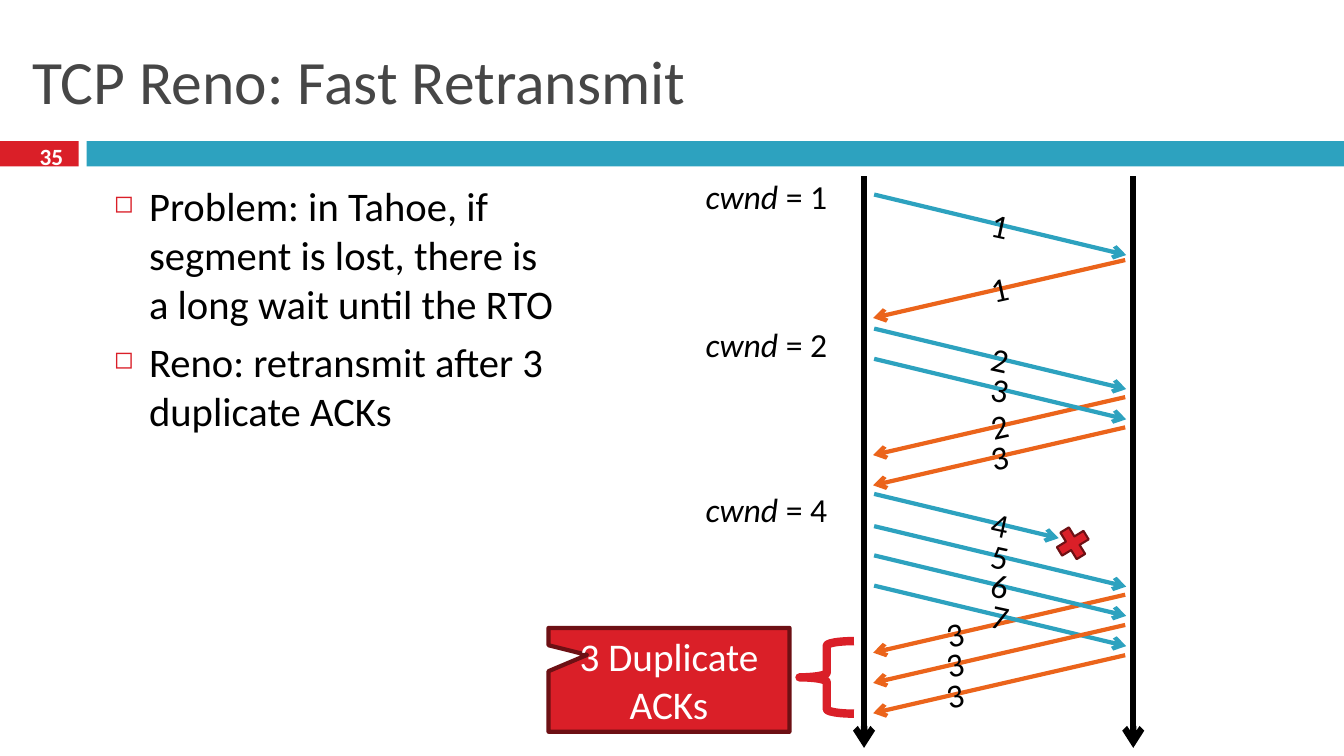
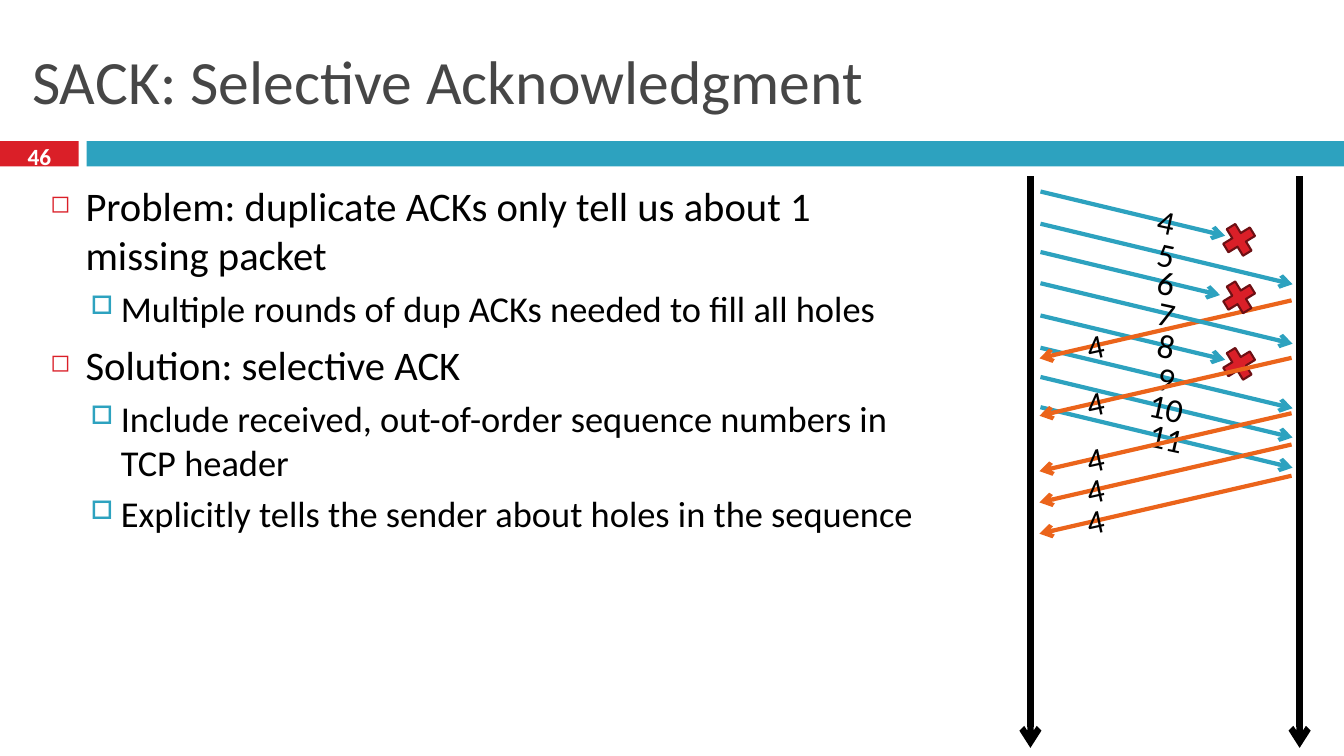
"""Build two slides on TCP retransmission with packet timelines."""
from lxml.etree import SubElement
from pptx import Presentation
from pptx.dml.color import RGBColor
from pptx.enum.shapes import MSO_CONNECTOR, MSO_SHAPE
from pptx.enum.text import MSO_ANCHOR, PP_ALIGN
from pptx.oxml.ns import qn
from pptx.util import Inches, Pt

COLORS = {
    "red": "DA1F28",
    "dark_red": "6D1014",
    "teal": "2DA2BF",
    "orange": "EB641B",
    "title": "464646",
    "black": "000000",
    "white": "FFFFFF",
}
FONT = "Calibri"
LEVELS = [
    {"indent": 0.35, "hang": 0.35, "before": 7, "bullet": "◻", "color": "red", "percent": 60, "size": 29},
    {"indent": 0.7, "hang": 0.3, "before": 5.5, "bullet": "□", "color": "teal", "percent": 70, "size": 26},
]
LIFELINE_GAP = 2.67
SEGMENT = {"color": "teal", "slope": 0.24, "angle": 12.3}
ACK = {"color": "orange", "slope": 0.23, "angle": -12.5}


def rgb(name):
    return RGBColor.from_string(COLORS[name])


def inches(*lengths):
    return [Inches(length) for length in lengths]


def set_font(font, size, color="black", bold=False, italic=False):
    font.name, font.size, font.bold, font.italic = FONT, Pt(size), bold, italic
    font.color.rgb = rgb(color)


def add_text(page, text, left, top, width, height, size=24, color="black", bold=False,
             align=PP_ALIGN.LEFT, anchor=MSO_ANCHOR.TOP, wrap=True, rotation=0):
    box = page.shapes.add_textbox(*inches(left, top, width, height))
    box.rotation = rotation
    frame = box.text_frame
    frame.word_wrap, frame.vertical_anchor = wrap, anchor
    para = frame.paragraphs[0]
    para.text, para.alignment = text, align
    set_font(para.font, size, color, bold)
    return box


def add_block(page, kind, left, top, width, height, fill=None, line=None, line_width=1):
    block = page.shapes.add_shape(kind, *inches(left, top, width, height))
    block.shadow.inherit = False
    if fill:
        block.fill.solid()
        block.fill.fore_color.rgb = rgb(fill)
    else:
        block.fill.background()
    if line:
        block.line.color.rgb = rgb(line)
        block.line.width = Pt(line_width)
    else:
        block.line.fill.background()
    return block


def add_arrow(page, start, end, color, width):
    arrow = page.shapes.add_connector(MSO_CONNECTOR.STRAIGHT, *inches(*start, *end))
    arrow.line.color.rgb = rgb(color)
    arrow.line.width = Pt(width)
    SubElement(arrow.line._get_or_add_ln(), qn("a:tailEnd"), type="arrow")
    SubElement(arrow._element.spPr, qn("a:effectLst"))


def add_bullets(page, items, left, width):
    box = page.shapes.add_textbox(*inches(left, 1.75, width, 5.58))
    frame = box.text_frame
    frame.word_wrap = True
    for index, (depth, text) in enumerate(items):
        level = LEVELS[depth]
        para = frame.add_paragraph() if index else frame.paragraphs[0]
        para.text, para.level = text, depth
        properties = para._p.get_or_add_pPr()
        properties.set("marL", str(Inches(level["indent"])))
        properties.set("indent", str(-Inches(level["hang"])))
        color = SubElement(properties, qn("a:buClr"))
        SubElement(color, qn("a:srgbClr"), val=COLORS[level["color"]])
        SubElement(properties, qn("a:buSzPct"), val=str(level["percent"] * 1000))
        SubElement(properties, qn("a:buChar"), char=level["bullet"])
        if index:
            para.space_before = Pt(level["before"])
        set_font(para.font, level["size"])


def add_page(deck, title, number, number_left, number_width):
    page = deck.slides.add_slide(deck.slide_layouts[6])
    add_block(page, MSO_SHAPE.RECTANGLE, 0, 1.4, 0.78, 0.25, "red")
    add_block(page, MSO_SHAPE.RECTANGLE, 0.86, 1.4, 12.47, 0.25, "teal")
    add_text(page, title, 0.22, 0.25, 12.89, 1.08, size=44, color="title", anchor=MSO_ANCHOR.MIDDLE)
    add_text(page, number, number_left, 1.38, number_width, 0.33, size=16.6, color="white",
             bold=True, align=PP_ALIGN.CENTER, anchor=MSO_ANCHOR.MIDDLE)
    return page


def add_lifelines(page, sender):
    for x in (sender, sender + LIFELINE_GAP):
        add_arrow(page, (x, 1.75), (x, 7.42), "black", 4.5)


def add_message(page, style, start, top, reach, label, label_shift):
    slope = style["slope"]
    add_arrow(page, (start, top), (start + reach, top + abs(reach) * slope), style["color"], 3)
    width, height = 1.11, 0.5
    add_text(page, label, start + label_shift - width / 2,
             top + abs(label_shift) * slope - height / 2, width, height,
             align=PP_ALIGN.CENTER, rotation=style["angle"])


def add_segments(page, sender, segments):
    for top, label, reach in segments:
        add_message(page, SEGMENT, sender + 0.1, top, reach, label, 1.25)


def add_acks(page, sender, acks, label_shift):
    for top, label in acks:
        add_message(page, ACK, sender + 2.59, top, -2.5, label, -label_shift)


def add_loss(page, sender, top):
    cross = add_block(page, MSO_SHAPE.MATH_MULTIPLY, sender + 1.86, top, 0.42, 0.42,
                      "red", "dark_red", 1.5)
    cross.rotation = 13.5


def add_window(page, top, size):
    box = add_text(page, "", 6.9, top, 1.45, 0.5, wrap=False)
    for text, italic in (("cwnd", True), (f" = {size}", False)):
        span = box.text_frame.paragraphs[0].add_run()
        span.text = text
        set_font(span.font, 24, italic=italic)


def add_duplicate_callout(page):
    add_block(page, MSO_SHAPE.LEFT_BRACE, 7.93, 6.36, 0.54, 0.72, line="red", line_width=6)
    callout = add_block(page, MSO_SHAPE.RECTANGULAR_CALLOUT, 5.44, 6.23, 2.39, 1.03,
                        "red", "dark_red", 3)
    callout.adjustments[0], callout.adjustments[1] = -0.34, -0.24
    callout.text_frame.word_wrap = True
    para = callout.text_frame.paragraphs[0]
    para.text, para.alignment = "3 Duplicate ACKs", PP_ALIGN.CENTER
    set_font(para.font, 28, "white")


def add_fast_retransmit(deck):
    page = add_page(deck, "TCP Reno: Fast Retransmit", "35", 0.22, 0.58)
    add_bullets(page, [
        (0, "Problem: in Tahoe, if segment is lost, there is a long wait until the RTO"),
        (0, "Reno: retransmit after 3 duplicate ACKs"),
    ], 1.03, 4.61)
    sender = 8.57
    add_acks(page, sender, [(2.58, "1"), (3.94, "2"), (4.24, "3")], 1.25)
    add_acks(page, sender, [(5.9, "3")], 1.69)
    add_lifelines(page, sender)
    add_segments(page, sender, [
        (1.93, "1", 2.5), (3.26, "2", 2.5), (3.56, "3", 2.5), (4.9, "4", 1.83),
        (5.22, "5", 2.5), (5.51, "6", 2.5), (5.81, "7", 2.5),
    ])
    add_acks(page, sender, [(6.2, "3"), (6.5, "3")], 1.69)
    for top, size in ((1.7, 1), (3.16, 2), (4.8, 4)):
        add_window(page, top, size)
    add_loss(page, sender, 5.18)
    add_duplicate_callout(page)


def add_selective_ack(deck):
    page = add_page(deck, "SACK: Selective Acknowledgment", "46", 0, 0.78)
    add_bullets(page, [
        (0, "Problem: duplicate ACKs only tell us about 1 missing packet"),
        (1, "Multiple rounds of dup ACKs needed to fill all holes"),
        (0, "Solution: selective ACK"),
        (1, "Include received, out-of-order sequence numbers in TCP header"),
        (1, "Explicitly tells the sender about holes in the sequence"),
    ], 0.4, 8.79)
    sender = 10.22
    add_lifelines(page, sender)
    add_segments(page, sender, [
        (3.13, "8", 1.83), (3.45, "9", 2.5), (3.74, "10", 2.5), (4.04, "11", 2.5),
    ])
    add_loss(page, sender, 3.4)
    add_acks(page, sender, [(2.98, "4")], 1.95)
    add_segments(page, sender, [
        (1.9, "4", 1.83), (2.22, "5", 2.5), (2.5, "6", 1.78), (2.81, "7", 2.5),
    ])
    for top in (2.17, 2.74):
        add_loss(page, sender, top)
    add_acks(page, sender, [(top, "4") for top in (3.55, 4.1, 4.41, 4.72)], 1.95)


def main():
    deck = Presentation()
    deck.slide_width, deck.slide_height = inches(13.33, 7.5)
    add_fast_retransmit(deck)
    add_selective_ack(deck)
    deck.save("out.pptx")


if __name__ == "__main__":
    main()
